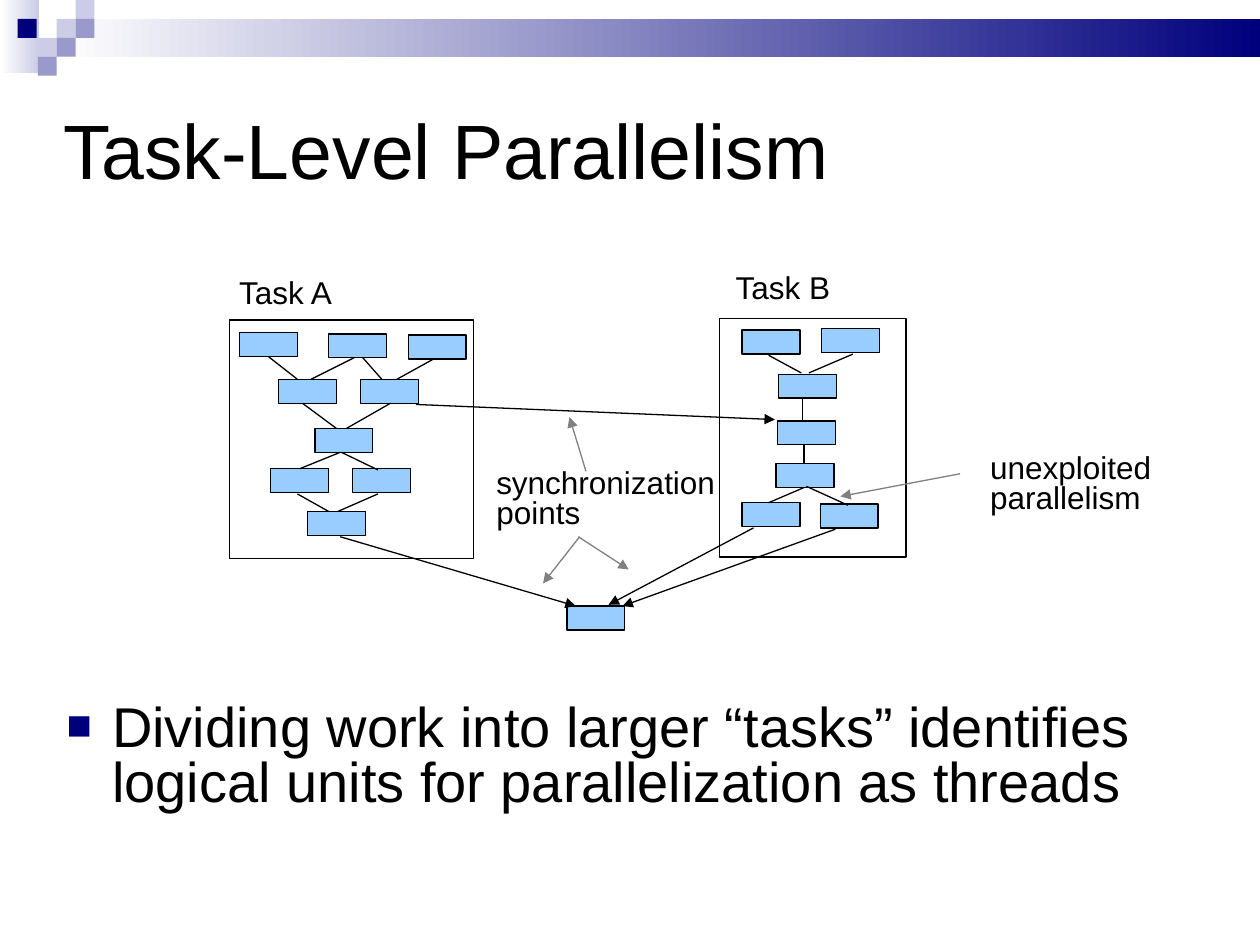
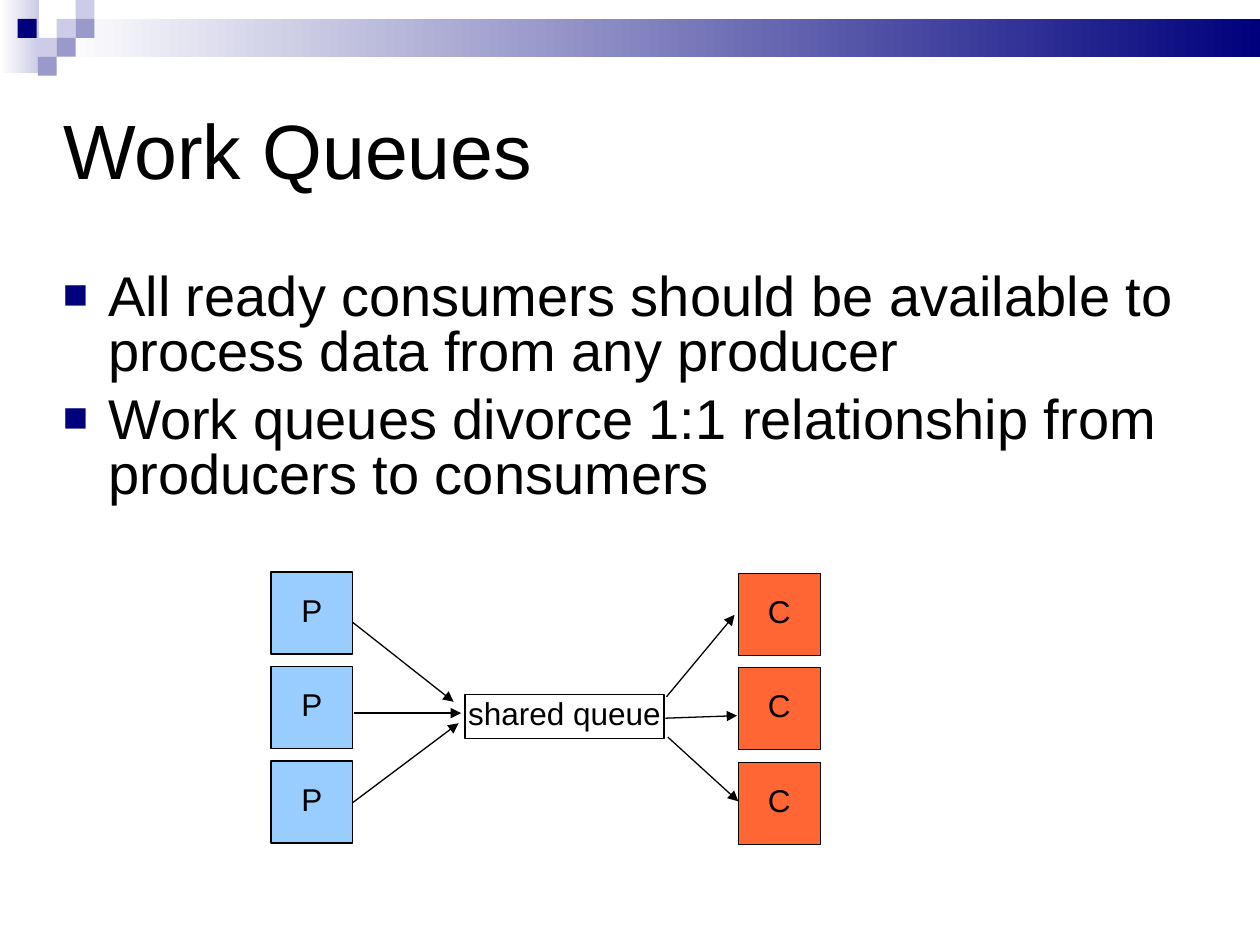
"""Builds two slides on task-level parallelism and work queues."""
from dataclasses import dataclass

from lxml import etree
from pptx import Presentation
from pptx import util as u
from pptx.dml import color
from pptx.enum import shapes, text
from pptx.oxml import ns

PX = 9144
NODE_W, NODE_H = 46, 19


@dataclass(frozen=True)
class Theme:
    """Colours, type sizes and spacing shared by both slides."""
    font: str = "Arial"
    ink: str = "000000"
    navy: str = "00007D"
    violet: str = "9999CC"
    lilac: str = "CCCCE6"
    white: str = "FFFFFF"
    blue: str = "99CCFF"
    orange: str = "FF6633"
    grey: str = "808080"
    title_size: int = 44
    body_size: int = 32
    label_size: int = 18
    leading: float = 0.81
    bullet_gap: int = 8
    line_width: float = 0.75


def emu(*lengths):
    """Turn px into EMU."""
    return [u.Emu(n * PX) for n in lengths]


def rgb(value):
    """Turn a hex string into a colour."""
    return color.RGBColor.from_string(value)


def add_xml(parent, tag, **attrs):
    """Append an element of the drawing namespace."""
    return etree.SubElement(parent, ns.qn(tag), **attrs)


class Deck:
    """Holds the theme and the current slide."""

    def __init__(self, theme):
        """Start an empty deck of 10 by 7.5 inches."""
        self.theme = theme
        self.prs = Presentation()
        self.prs.slide_width, self.prs.slide_height = emu(1000, 750)

    def slide(self, title):
        """Add a slide with the header band and a title."""
        self.s = self.prs.slides.add_slide(self.prs.slide_layouts[5])
        self.header()
        sp = self.s.shapes.title
        sp.left, sp.top, sp.width, sp.height = emu(50, 50, 900, 150)
        self.set_text(sp.text_frame, title, self.theme.title_size,
                      anchor=text.MSO_ANCHOR.MIDDLE, inset=(0, 0))

    def header(self):
        """Draw the gradient bands and the mosaic of squares."""
        t = self.theme
        self.gradient(0, 0, 31, 58, t.lilac)
        self.gradient(45, 15, 955, 30, t.navy)
        for x, y, fill in [(45, 15, t.lilac), (60, 0, t.lilac),
                           (60, 15, t.violet), (30, 30, t.lilac),
                           (14, 15, t.navy), (45, 30, t.violet),
                           (30, 45, t.violet)]:
            self.box(x, y, 15, 15, fill, outlined=False)

    def gradient(self, x, y, w, h, start):
        """Draw a band fading leftwards into white."""
        fill = self.box(x, y, w, h, outlined=False).fill
        fill.gradient()
        fill.gradient_angle = 180
        for stop, value in zip(fill.gradient_stops, (start, self.theme.white)):
            stop.color.rgb = rgb(value)

    def box(self, x, y, w, h, fill=None, label="", outlined=True, wrap=True):
        """Draw a rectangle with an optional centred label."""
        t = self.theme
        sp = self.s.shapes.add_shape(shapes.MSO_SHAPE.RECTANGLE,
                                     *emu(x, y, w, h))
        sp.shadow.inherit = False
        if fill:
            sp.fill.solid()
            sp.fill.fore_color.rgb = rgb(fill)
        else:
            sp.fill.background()
        if outlined:
            sp.line.color.rgb = rgb(t.ink)
            sp.line.width = u.Pt(t.line_width)
        else:
            sp.line.fill.background()
        if label:
            self.set_text(sp.text_frame, label, t.label_size, wrap=wrap,
                          align=text.PP_ALIGN.CENTER,
                          anchor=text.MSO_ANCHOR.MIDDLE)
        return sp

    def line(self, x1, y1, x2, y2, stroke=None, arrow=False):
        """Draw a straight line, with an arrowhead at its end if asked."""
        sp = self.s.shapes.add_connector(shapes.MSO_CONNECTOR.STRAIGHT,
                                         *emu(x1, y1, x2, y2))
        sp.line.color.rgb = rgb(stroke or self.theme.ink)
        sp.line.width = u.Pt(self.theme.line_width)
        pr = sp.element.spPr
        if arrow:
            add_xml(pr.find(ns.qn("a:ln")), "a:tailEnd", type="triangle")
        add_xml(pr, "a:effectLst")

    def arrows(self, ends, stroke=None):
        """Draw an arrow for each pair of end points."""
        for points in ends:
            self.line(*points, stroke=stroke, arrow=True)

    def label(self, x, y, w, h, content):
        """Add a small left-aligned text."""
        sp = self.s.shapes.add_textbox(*emu(x, y, w, h))
        self.set_text(sp.text_frame, content, self.theme.label_size)

    def bullets(self, x, y, w, h, items):
        """Add body text with square bullets."""
        t = self.theme
        tf = self.s.shapes.add_textbox(*emu(x, y, w, h)).text_frame
        self.set_text(tf, "\n".join(items), t.body_size, inset=(0, 0))
        for p in tf.paragraphs:
            p.space_before = u.Pt(t.bullet_gap)
            pr = p._p.get_or_add_pPr()
            pr.set("marL", str(36 * PX))
            pr.set("indent", str(-36 * PX))
            add_xml(add_xml(pr, "a:buClr"), "a:srgbClr", val=t.navy)
            add_xml(pr, "a:buSzPct", val="75000")
            add_xml(pr, "a:buFont", typeface=t.font)
            add_xml(pr, "a:buChar", char="■")

    def set_text(self, tf, content, size, align=text.PP_ALIGN.LEFT,
                 anchor=text.MSO_ANCHOR.TOP, inset=(10, 5), wrap=True):
        """Fill a text frame and format its runs."""
        tf.text = content
        tf.auto_size = text.MSO_AUTO_SIZE.NONE
        tf.word_wrap = wrap
        tf.vertical_anchor = anchor
        tf.margin_left, tf.margin_top = emu(*inset)
        tf.margin_right, tf.margin_bottom = emu(*inset)
        for p in tf.paragraphs:
            p.alignment = align
            p.line_spacing = self.theme.leading
            p.space_before = u.Pt(0)
            for r in p.runs:
                r.font.name = self.theme.font
                r.font.size = u.Pt(size)
                r.font.color.rgb = rgb(self.theme.ink)

    def node(self, x, y):
        """Draw one unit of work."""
        self.box(x, y, NODE_W, NODE_H, self.theme.blue)

    def task(self, frame, nodes, edges):
        """Draw a framed graph of work units."""
        for x, y in nodes:
            self.node(x, y)
        self.box(*frame)
        for points in edges:
            self.line(*points)


def task_parallelism(deck):
    """Build the slide with the two task graphs."""
    deck.slide("Task-Level Parallelism")
    deck.node(450, 481)
    deck.arrows([(270, 426, 457, 481), (598, 419, 483, 480),
                 (663, 420, 494, 481), (330, 321, 615, 333)])
    deck.task(
        frame=(182, 254, 194, 189),
        nodes=[(190, 264), (261, 265), (324, 266), (221, 301), (286, 301),
               (250, 340), (215, 372), (280, 372), (244, 406)],
        edges=[(281, 284, 247, 301), (213, 283, 236, 301),
               (288, 284, 303, 301), (344, 285, 315, 301),
               (240, 320, 267, 340), (310, 320, 275, 340),
               (270, 359, 238, 372), (300, 373, 271, 359),
               (236, 392, 261, 406), (300, 392, 268, 406)])
    deck.task(
        frame=(571, 253, 148, 189),
        nodes=[(589, 262), (652, 261), (618, 297), (617, 334), (616, 368),
               (589, 399), (651, 400)],
        edges=[(610, 282, 636, 296), (677, 281, 642, 296),
               (637, 316, 637, 333), (638, 353, 638, 368),
               (638, 387, 610, 399), (673, 401, 640, 386)])
    deck.label(384, 368, 195, 58, "synchronization points")
    deck.label(180, 217, 185, 34, "Task A")
    deck.label(574, 213, 152, 34, "Task B")
    deck.arrows([(465, 374, 452, 331), (460, 426, 431, 463),
                 (459, 426, 499, 452), (762, 376, 667, 394)],
                stroke=deck.theme.grey)
    deck.label(776, 356, 191, 58, "unexploited\nparallelism")
    deck.bullets(53, 559, 897, 86, [
        "Dividing work into larger “tasks” identifies logical units for "
        "parallelization as threads"])


def work_queues(deck):
    """Build the slide with producers, a shared queue and consumers."""
    side, pitch = 65, 75
    deck.slide("Work Queues")
    deck.bullets(50, 217, 900, 195, [
        "All ready consumers should be available to process data from any "
        "producer",
        "Work queues divorce 1:1 relationship from producers to consumers"])
    for row in range(3):
        deck.box(215, 454 + row * pitch, side, side, deck.theme.blue, "P")
        deck.box(586, 455 + row * pitch, side, side, deck.theme.orange, "C")
    deck.box(369, 551, 158, 35, label="shared queue", wrap=False)
    deck.arrows([(280, 494, 360, 557), (281, 566, 366, 566),
                 (280, 637, 364, 574), (529, 553, 583, 488),
                 (528, 570, 585, 568), (530, 585, 586, 636)])


def main():
    """Build and save the deck."""
    deck = Deck(Theme())
    task_parallelism(deck)
    work_queues(deck)
    deck.prs.save("out.pptx")


if __name__ == "__main__":
    main()
